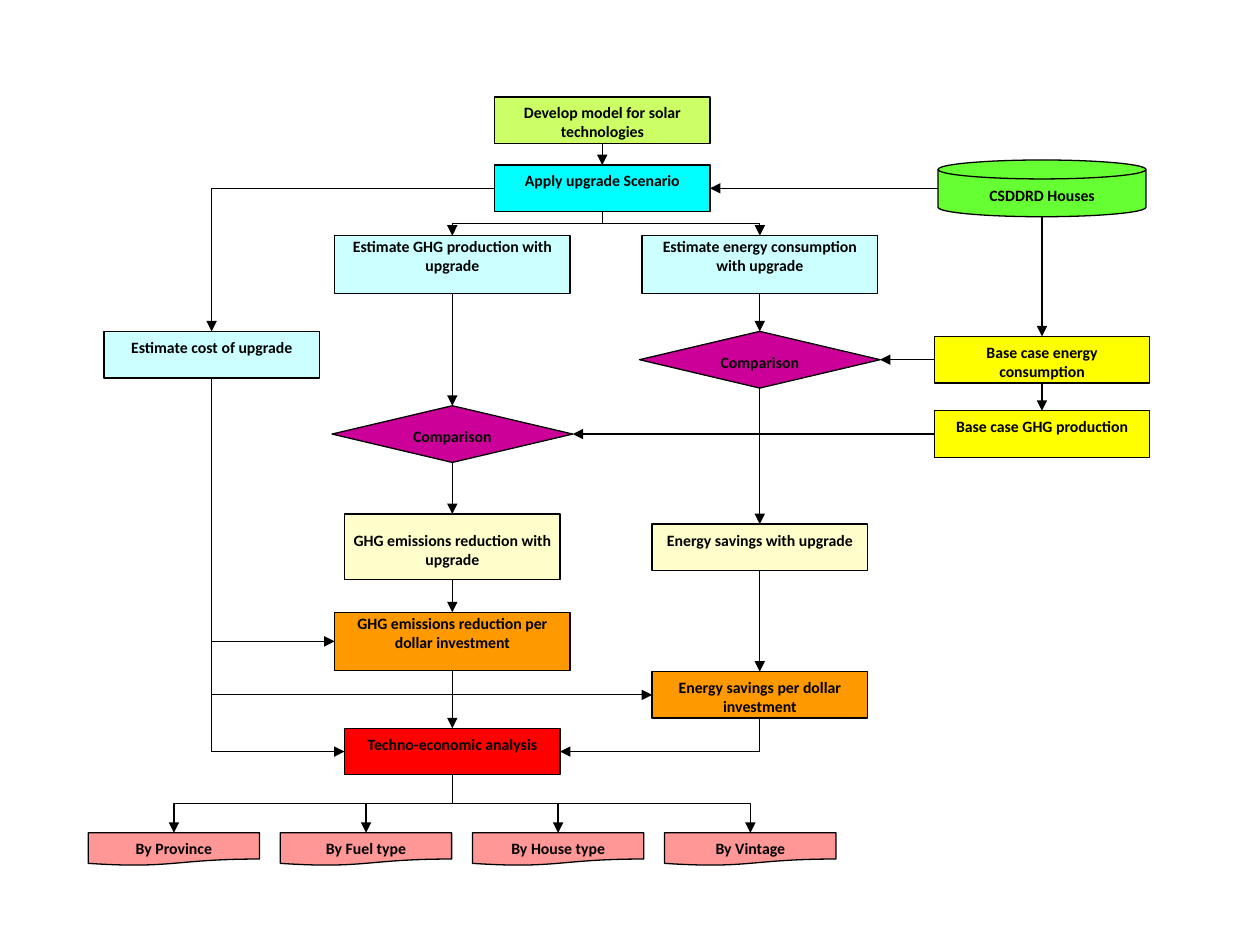
from pptx import Presentation
from pptx.dml.color import RGBColor
from pptx.enum.shapes import MSO_CONNECTOR as LINK, MSO_SHAPE as SHAPE
from pptx.enum.text import MSO_ANCHOR as ANCHOR, PP_ALIGN as ALIGN
from pptx.oxml.ns import qn
from pptx.oxml.xmlchemy import OxmlElement
from pptx.util import Inches, Pt

FONT, BLACK = "Calibri", "000000"
COST_X, GHG_X, MODEL_X, ENERGY_X, BASE_X = 1.68, 3.59, 4.78, 6.03, 8.27

# Step styles: shape, width, height, anchor, insets (left, top, right, bottom)
STYLES = {
    "step": (SHAPE.RECTANGLE, 1.71, 0.37, ANCHOR.TOP, (0.1, 0.05, 0.1, 0.05)),
    "wide": (SHAPE.RECTANGLE, 1.87, 0.46, ANCHOR.TOP, (0.06, 0.01, 0.06, 0.01)),
    "tall": (SHAPE.RECTANGLE, 1.71, 0.52, ANCHOR.MIDDLE, (0.02, 0.05, 0.02, 0.01)),
    "check": (SHAPE.DIAMOND, 1.91, 0.45, ANCHOR.MIDDLE, (0.06, 0.05, 0.06, 0.01)),
    "data": (SHAPE.FLOWCHART_MAGNETIC_DISK, 1.65, 0.45, ANCHOR.MIDDLE, (0.1, 0.09, 0.1, 0.05)),
    "report": (SHAPE.FLOWCHART_DOCUMENT, 1.36, 0.26, ANCHOR.TOP, (0.1, 0.05, 0.1, 0.05)),
}

# Key: text, style, centre x, top, fill
STEPS = {
    "houses": ("CSDDRD Houses", "data", BASE_X, 1.27, "66FF33"),
    "model": ("Develop model for solar technologies", "step", MODEL_X, 0.77, "CCFF66"),
    "scenario": ("Apply upgrade Scenario", "step", MODEL_X, 1.31, "00FFFF"),
    "ghg": ("Estimate GHG production with upgrade", "wide", GHG_X, 1.87, "CCFFFF"),
    "energy": ("Estimate energy consumption with upgrade", "wide", ENERGY_X, 1.87, "CCFFFF"),
    "base energy": ("Base case energy consumption", "step", BASE_X, 2.67, "FFFF00"),
    "base ghg": ("Base case GHG production", "step", BASE_X, 3.26, "FFFF00"),
    "energy check": ("Comparison", "check", ENERGY_X, 2.63, "CC0099"),
    "ghg check": ("Comparison", "check", GHG_X, 3.22, "CC0099"),
    "cost": ("Estimate cost of upgrade", "step", COST_X, 2.63, "CCFFFF"),
    "ghg cut": ("GHG emissions reduction with upgrade", "tall", GHG_X, 4.08, "FFFFCC"),
    "savings": ("Energy savings with upgrade", "step", ENERGY_X, 4.16, "FFFFCC"),
    "savings per dollar": ("Energy savings per dollar investment", "step",
                           ENERGY_X, 5.33, "FF9900"),
    "ghg per dollar": ("GHG emissions reduction per dollar investment", "wide",
                       GHG_X, 4.86, "FF9900"),
    "analysis": ("Techno-economic analysis", "step", GHG_X, 5.78, "FF0000"),
}
REPORTS = ["By Province", "By Fuel type", "By House type", "By Vintage"]
REPORT_X, REPORT_STEP, REPORT_TOP = 1.38, 1.525, 6.61
for place, report in enumerate(REPORTS):
    STEPS[report] = (report, "report", REPORT_X + place * REPORT_STEP, REPORT_TOP, "FF9797")

# Source, side it leaves, target, side it enters
FLOWS = [
    ("houses", "left", "scenario", "right"),
    ("model", "bottom", "scenario", "top"),
    ("scenario", "bottom", "energy", "top"),
    ("scenario", "bottom", "ghg", "top"),
    ("houses", "bottom", "base energy", "top"),
    ("base energy", "bottom", "base ghg", "top"),
    ("energy", "bottom", "energy check", "top"),
    ("base energy", "left", "energy check", "right"),
    ("ghg", "bottom", "ghg check", "top"),
    ("base ghg", "left", "ghg check", "right"),
    ("energy check", "bottom", "savings", "top"),
    ("ghg check", "bottom", "ghg cut", "top"),
    ("savings", "bottom", "savings per dollar", "top"),
    ("ghg cut", "bottom", "ghg per dollar", "top"),
    ("scenario", "left", "cost", "top"),
    ("cost", "bottom", "ghg per dollar", "left"),
    ("cost", "bottom", "savings per dollar", "left"),
    ("savings per dollar", "bottom", "analysis", "right"),
    ("cost", "bottom", "analysis", "left"),
    ("ghg per dollar", "bottom", "analysis", "top"),
] + [("analysis", "bottom", report, "top") for report in REPORTS]


def color(hex_code):
    """Turn a hex string into a colour."""
    return RGBColor.from_string(hex_code)


def write(frame, text, size=9, bold=True, fill=BLACK, anchor=ANCHOR.TOP, insets=(0, 0, 0, 0)):
    """Put one centred paragraph into a text frame."""
    frame.word_wrap = True
    frame.vertical_anchor = anchor
    (frame.margin_left, frame.margin_top,
     frame.margin_right, frame.margin_bottom) = map(Inches, insets)
    paragraph = frame.paragraphs[0]
    paragraph.alignment = ALIGN.CENTER
    paragraph.space_after = Pt(10)
    run = paragraph.add_run()
    run.text = text
    run.font.name, run.font.size, run.font.bold = FONT, Pt(size), bold
    run.font.color.rgb = color(fill)


def outline(item):
    """Give a shape or connector the thin black line."""
    item.line.color.rgb = color(BLACK)
    item.line.width = Pt(0.75)


def draw_step(slide, text, style, center, top, fill):
    """Draw one step of the flow chart."""
    kind, width, height, anchor, insets = STYLES[style]
    step = slide.shapes.add_shape(
        kind, Inches(center - width / 2), Inches(top), Inches(width), Inches(height))
    step.shadow.inherit = False
    step.fill.solid()
    step.fill.fore_color.rgb = color(fill)
    outline(step)
    write(step.text_frame, text, anchor=anchor, insets=insets)


def side_point(key, side):
    """Return the middle of one side of a step."""
    _, style, x, top, _ = STEPS[key]
    _, width, height, _, _ = STYLES[style]
    return {"top": (x, top), "bottom": (x, top + height),
            "left": (x - width / 2, top + height / 2),
            "right": (x + width / 2, top + height / 2)}[side]


def draw_flow(slide, source, leaves, target, enters):
    """Join two steps with a straight or elbow arrow."""
    (x1, y1), (x2, y2) = side_point(source, leaves), side_point(target, enters)
    downward = leaves == "bottom"
    facing = downward == (enters == "top")
    straight = facing and abs(x2 - x1 if downward else y2 - y1) < 0.03
    turn = 0
    if straight:
        x2, y2 = (x1, y2) if downward else (x2, y1)
    elif downward:
        # An elbow leaves sideways, so lay it out on its side and turn it.
        turn = 270 if x2 > x1 else 90
        mid_x, mid_y = (x1 + x2) / 2, (y1 + y2) / 2
        half_w, half_h = (y2 - y1) / 2, abs(x2 - x1) / 2
        lean = half_w if turn == 270 else -half_w
        x1, x2 = mid_x + lean, mid_x - lean
        y1, y2 = mid_y - half_h, mid_y + half_h
    arrow = slide.shapes.add_connector(
        LINK.STRAIGHT if straight else LINK.ELBOW, *map(Inches, (x1, y1, x2, y2)))
    outline(arrow)
    properties = arrow.element.spPr
    if turn:
        properties.find(qn("a:xfrm")).set("rot", str(turn * 60000))
    if not straight and not (downward and facing):
        properties.find(qn("a:prstGeom")).set("prst", "bentConnector2")
    head = OxmlElement("a:tailEnd")
    head.set("type", "triangle")
    properties.find(qn("a:ln")).append(head)
    properties.append(OxmlElement("a:effectLst"))


deck = Presentation()
deck.slide_width, deck.slide_height = Inches(10), Inches(7.5)
chart_slide = deck.slides.add_slide(deck.slide_layouts[6])
for step_details in STEPS.values():
    draw_step(chart_slide, *step_details)
for flow in FLOWS:
    draw_flow(chart_slide, *flow)
deck.save("out.pptx")
